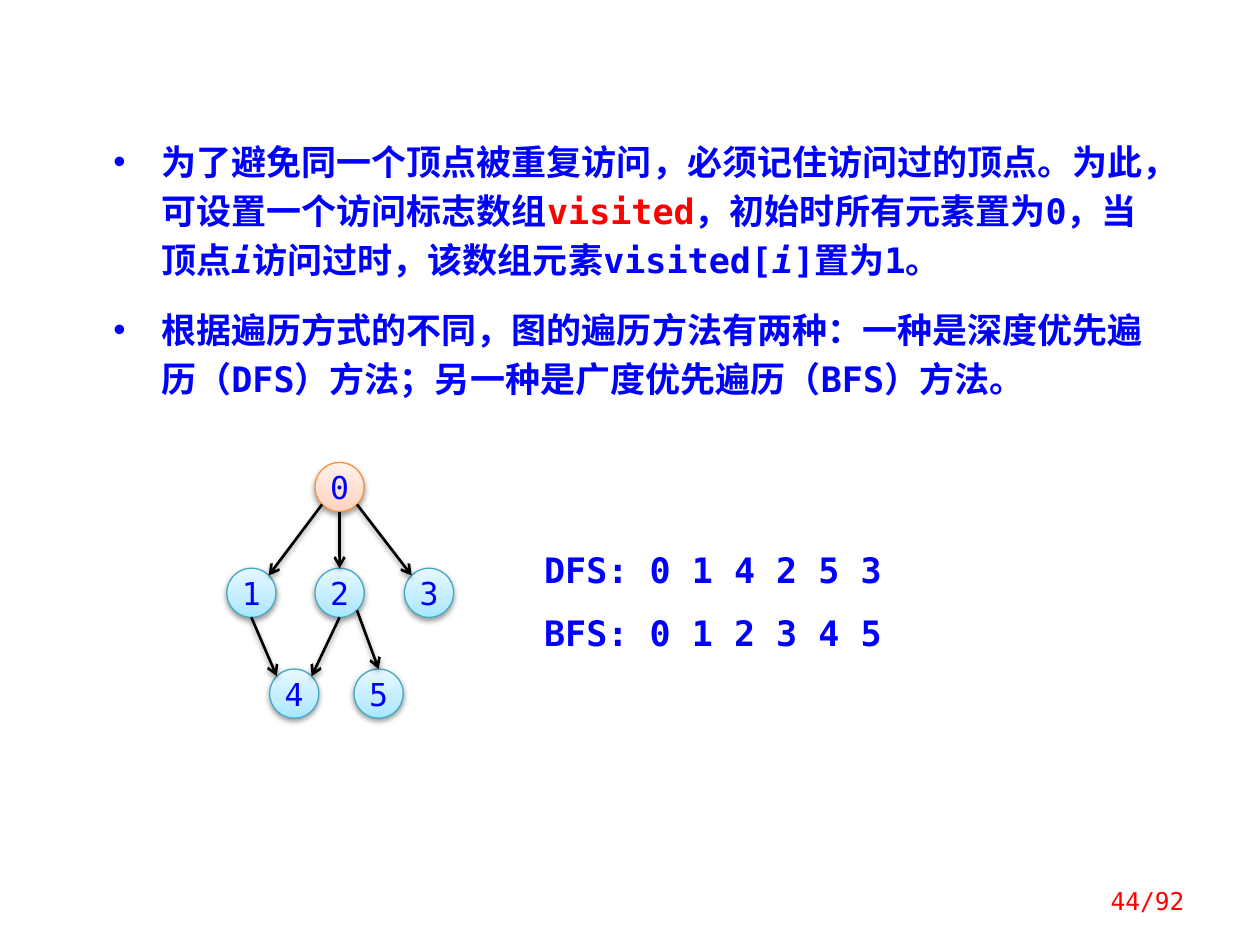
from lxml import etree
from pptx import Presentation
from pptx.dml.color import RGBColor
from pptx.enum.shapes import MSO_CONNECTOR, MSO_SHAPE
from pptx.enum.text import MSO_ANCHOR, MSO_AUTO_SIZE, PP_ALIGN
from pptx.oxml import parse_xml
from pptx.oxml.ns import nsdecls, qn
from pptx.util import Inches, Pt

STRAIGHT = MSO_CONNECTOR.STRAIGHT
OVAL = MSO_SHAPE.OVAL
CENTER, RIGHT = PP_ALIGN.CENTER, PP_ALIGN.RIGHT
MIDDLE = MSO_ANCHOR.MIDDLE
GROW = MSO_AUTO_SIZE.SHAPE_TO_FIT_TEXT

FONT = "DejaVu Sans Mono"
COLORS = {"blue": "0000FF", "red": "FF0000", "black": "000000", "white": "FFFFFF",
          "start_line": "F69240", "node_line": "46AAC5"}
GRADIENTS = {"start": ("FFD2BD", "FFDED0", "FFF2ED"),
             "node": ("A7E6FF", "C1EDFF", "E7F8FF")}
STOPS = (0, 35, 100)

# Each span is its text and the format that differs from bold blue.
BULLETS = [
    [("为了避免同一个顶点被重复访问，必须记住访问过的顶点。为此，可设置一个访问标志数组", {}),
     ("visited", {"color": "red"}),
     ("，初始时所有元素置为0，当顶点", {}),
     ("i", {"italic": True}),
     ("访问过时，该数组元素visited[", {}),
     ("i", {"italic": True}),
     ("]置为1。", {})],
    [("根据遍历方式的不同，图的遍历方法有两种：一种是深度优先遍历（DFS）方法；"
      "另一种是广度优先遍历（BFS）方法。", {})],
]
ORDERS = ["DFS: 0 1 4 2 5 3", "BFS: 0 1 2 3 4 5"]

# Node offsets and edges inside the graph; each edge end names a point on the circle.
NODE_SIZE = 0.39
NODES = [(0.7, 0), (0, 0.84), (0.7, 0.84), (1.41, 0.84), (0.34, 1.64), (1.01, 1.64)]
SIDES = {"top": (0, -1), "bottom": (0, 1), "top left": (-0.71, -0.71),
         "top right": (0.71, -0.71), "bottom left": (-0.71, 0.71),
         "bottom right": (0.71, 0.71)}
EDGES = [(0, "bottom left", 1, "top right"), (0, "bottom", 2, "top"),
         (0, "bottom right", 3, "top left"), (1, "bottom", 4, "top left"),
         (2, "bottom", 4, "top right"), (2, "bottom right", 5, "top")]


def rgb(name):
    return RGBColor.from_string(COLORS[name])


def add_span(para, text, size=20, color="blue", bold=False, italic=False):
    span = para.add_run()
    span.text = text
    font = span.font
    font.name, font.size = FONT, Pt(size)
    font.bold, font.italic = bold, italic
    font.color.rgb = rgb(color)


def set_margins(frame, left, top, right, bottom):
    frame.margin_left, frame.margin_top = Inches(left), Inches(top)
    frame.margin_right, frame.margin_bottom = Inches(right), Inches(bottom)


def next_para(frame, index):
    return frame.add_paragraph() if index else frame.paragraphs[0]


def add_shadow(shape):
    shape._element.spPr.append(parse_xml(
        f'<a:effectLst {nsdecls("a")}>'
        f'<a:outerShdw blurRad="{Pt(3.1)}" dist="{Pt(1.6)}" dir="5400000" rotWithShape="0">'
        f'<a:srgbClr val="{COLORS["black"]}"><a:alpha val="38000"/></a:srgbClr>'
        '</a:outerShdw></a:effectLst>'))


def fill_gradient(shape, colors):
    """Fill from bottom to top through three colours."""
    shape.fill.gradient()
    shape.fill.gradient_angle = 90
    stops = shape._element.spPr.find(".//" + qn("a:gsLst"))
    for old in list(stops):
        stops.remove(old)
    for position, color in zip(STOPS, colors):
        stop = etree.SubElement(stops, qn("a:gs"), pos=str(position * 1000))
        etree.SubElement(stop, qn("a:srgbClr"), val=color)


def fill_bullets(box, left, top, width, height):
    box.left, box.top = Inches(left), Inches(top)
    box.width, box.height = Inches(width), Inches(height)
    box.fill.solid()
    box.fill.fore_color.rgb = rgb("white")
    frame = box.text_frame
    frame.word_wrap, frame.auto_size = True, GROW
    set_margins(frame, 0.2, 0.12, 0.1, 0.12)
    for index, spans in enumerate(BULLETS):
        para = next_para(frame, index)
        properties = para._p.get_or_add_pPr()
        properties.set("marL", str(Inches(0.38)))
        properties.set("indent", str(-Inches(0.38)))
        para.line_spacing = Pt(28)
        para.space_before = Pt(12 if index else 0)
        for text, style in spans:
            add_span(para, text, bold=True, **style)


def add_node(group, label, left, top, kind):
    node = group.shapes.add_shape(OVAL, Inches(left), Inches(top),
                                  Inches(NODE_SIZE), Inches(NODE_SIZE))
    fill_gradient(node, GRADIENTS[kind])
    node.line.color.rgb = rgb(kind + "_line")
    node.line.width = Pt(0.75)
    add_shadow(node)
    frame = node.text_frame
    set_margins(frame, 0, 0, 0, 0)
    frame.vertical_anchor = MIDDLE
    para = frame.paragraphs[0]
    para.alignment = CENTER
    add_span(para, label, size=18)


def add_arrow(group, start, end):
    arrow = group.shapes.add_connector(STRAIGHT, *map(Inches, start + end))
    arrow.line.color.rgb = rgb("black")
    arrow.line.width = Pt(1.5)
    etree.SubElement(arrow.line._get_or_add_ln(), qn("a:tailEnd"), type="arrow")
    add_shadow(arrow)


def add_graph(page, left, top):
    group = page.shapes.add_group_shape()
    for index, (x, y) in enumerate(NODES):
        add_node(group, str(index), left + x, top + y, "node" if index else "start")

    def rim(index, side):
        radius = NODE_SIZE / 2
        (x, y), (across, down) = NODES[index], SIDES[side]
        return left + x + radius * (1 + across), top + y + radius * (1 + down)

    for source, exit_side, target, entry_side in EDGES:
        add_arrow(group, rim(source, exit_side), rim(target, entry_side))


def add_orders(page, left, top, width, height):
    box = page.shapes.add_textbox(*map(Inches, (left, top, width, height)))
    frame = box.text_frame
    frame.word_wrap, frame.auto_size = True, GROW
    for index, text in enumerate(ORDERS):
        para = next_para(frame, index)
        para.line_spacing = 1.5
        add_span(para, text, bold=True)


def add_page_number(page, left, top, width, height):
    box = page.shapes.add_textbox(*map(Inches, (left, top, width, height)))
    frame = box.text_frame
    frame.word_wrap, frame.vertical_anchor = True, MIDDLE
    para = frame.paragraphs[0]
    para.alignment = RIGHT
    add_span(para, "44/92", size=14, color="red")


def main():
    deck = Presentation()
    deck.slide_width, deck.slide_height = Inches(10), Inches(7.5)
    page = deck.slides.add_slide(deck.slide_layouts[1])
    title = page.shapes.title._element
    title.getparent().remove(title)
    fill_bullets(page.placeholders[1], 0.7, 0.94, 8.52, 2.37)
    add_graph(page, 1.8, 3.67)
    add_orders(page, 4.22, 4.14, 2.97, 1.06)
    add_page_number(page, 8.28, 6.95, 1.22, 0.4)
    deck.save("out.pptx")


if __name__ == "__main__":
    main()
